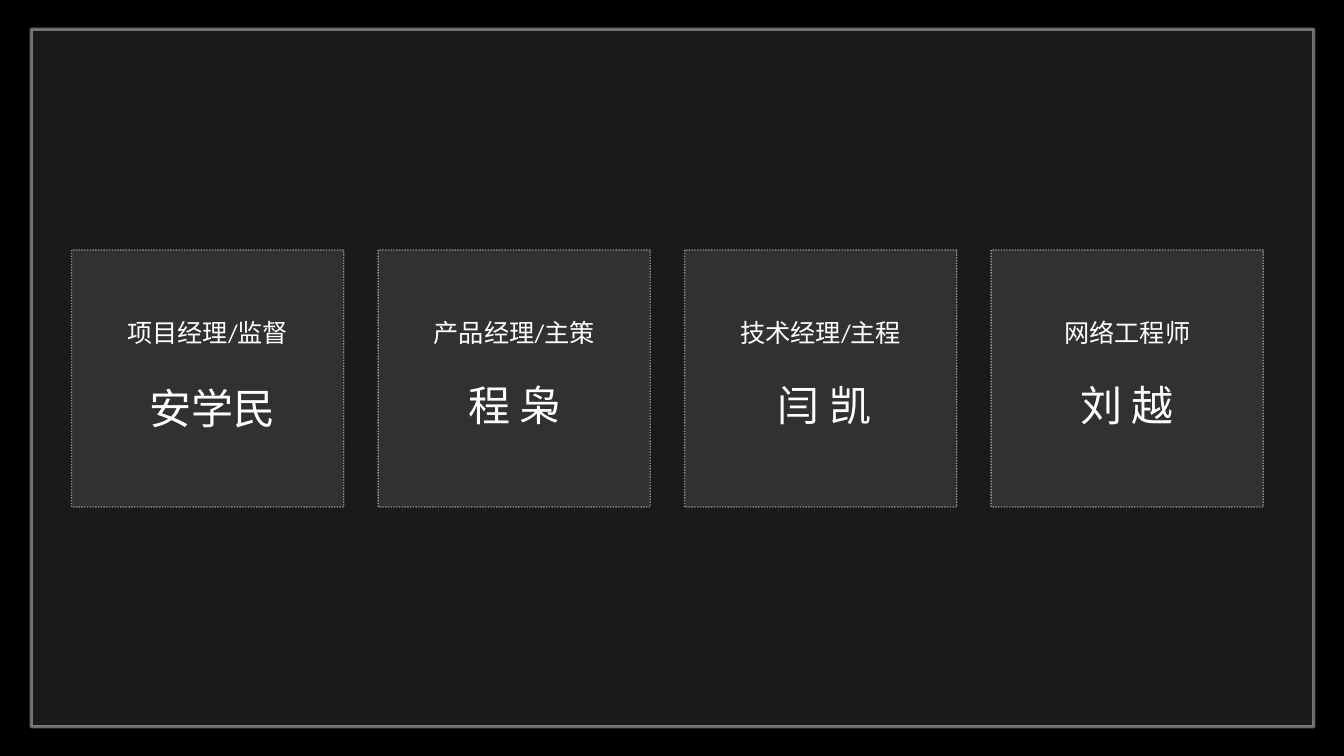
from dataclasses import dataclass

from lxml import etree
from pptx import Presentation
from pptx.dml.color import RGBColor
from pptx.enum.dml import MSO_LINE
from pptx.enum.shapes import MSO_SHAPE
from pptx.enum.text import MSO_AUTO_SIZE, PP_ALIGN
from pptx.oxml.ns import qn
from pptx.util import Inches, Pt

RECTANGLE = MSO_SHAPE.RECTANGLE
SOLID = MSO_LINE.SOLID
DOTTED = MSO_LINE.ROUND_DOT
CENTER = PP_ALIGN.CENTER
GROW = MSO_AUTO_SIZE.SHAPE_TO_FIT_TEXT

COLORS = {"background": "000000", "foreground": "FFFFFF"}
FONT = "Calibri"
FILL_OPACITY = 10

# Grid in inches: one column per member
FIRST_COLUMN, COLUMN_STEP = 0.71, 3.04
CARD_WIDTH, CARD_HEIGHT = 2.7, 2.55
CARD_ROW, ROLE_ROW, NAME_ROW = 2.48, 3.1, 3.72
LABEL_WIDTH = 2.04


@dataclass(frozen=True)
class Box:
    left: float
    top: float
    width: float
    height: float

    def lengths(self) -> list:
        return [Inches(n) for n in (self.left, self.top, self.width, self.height)]


@dataclass(frozen=True)
class Outline:
    width: float
    dash: MSO_LINE
    opacity: int


@dataclass(frozen=True)
class Member:
    role: str
    name: str
    name_shift: float = 0  # sideways from the card's centre
    name_drop: float = 0


FRAME = Box(0.31, 0.29, 12.72, 6.92)
FRAME_OUTLINE = Outline(2.25, SOLID, 40)
CARD_OUTLINE = Outline(1, DOTTED, 50)

MEMBERS = [
    Member("项目经理/监督", "安学民", 0.05, 0.03),
    Member("产品经理/主策", "程 枭", 0.01),
    Member("技术经理/主程", "闫 凯", 0.04),
    Member("网络工程师", "刘 越"),
]


def paint(fill, opacity: int) -> None:
    """Fill with the foreground colour at an opacity in percent."""
    fill.solid()
    fill.fore_color.rgb = RGBColor.from_string(COLORS["foreground"])
    color = fill._xPr.find(f"{qn('a:solidFill')}/{qn('a:srgbClr')}")
    etree.SubElement(color, qn("a:alpha")).set("val", str(opacity * 1000))


def add_panel(slide, box: Box, outline: Outline) -> None:
    shape = slide.shapes.add_shape(RECTANGLE, *box.lengths())
    shape.shadow.inherit = False
    paint(shape.fill, FILL_OPACITY)
    paint(shape.line.fill, outline.opacity)
    shape.line.width = Pt(outline.width)
    shape.line.dash_style = outline.dash


def add_label(slide, text: str, box: Box, size: int) -> None:
    frame = slide.shapes.add_textbox(*box.lengths()).text_frame
    frame.word_wrap = True
    frame.auto_size = GROW
    paragraph = frame.paragraphs[0]
    paragraph.alignment = CENTER
    run = paragraph.add_run()
    run.text = text
    run.font.name = FONT
    run.font.size = Pt(size)
    run.font.color.rgb = RGBColor.from_string(COLORS["foreground"])


def add_member(slide, column: int, member: Member) -> None:
    left = FIRST_COLUMN + column * COLUMN_STEP
    label_left = left + (CARD_WIDTH - LABEL_WIDTH) / 2
    add_panel(slide, Box(left, CARD_ROW, CARD_WIDTH, CARD_HEIGHT), CARD_OUTLINE)
    add_label(slide, member.role, Box(label_left, ROLE_ROW, LABEL_WIDTH, 0.4), 18)
    name_box = Box(label_left + member.name_shift, NAME_ROW + member.name_drop,
                   LABEL_WIDTH, 0.6)
    add_label(slide, member.name, name_box, 30)


def main() -> None:
    presentation = Presentation()
    presentation.slide_width = Inches(13.33)
    presentation.slide_height = Inches(7.5)
    slide = presentation.slides.add_slide(presentation.slide_layouts[6])

    # Background and frame
    slide.background.fill.solid()
    slide.background.fill.fore_color.rgb = RGBColor.from_string(COLORS["background"])
    add_panel(slide, FRAME, FRAME_OUTLINE)

    # Team cards
    for column, member in enumerate(MEMBERS):
        add_member(slide, column, member)

    presentation.save("out.pptx")


if __name__ == "__main__":
    main()
